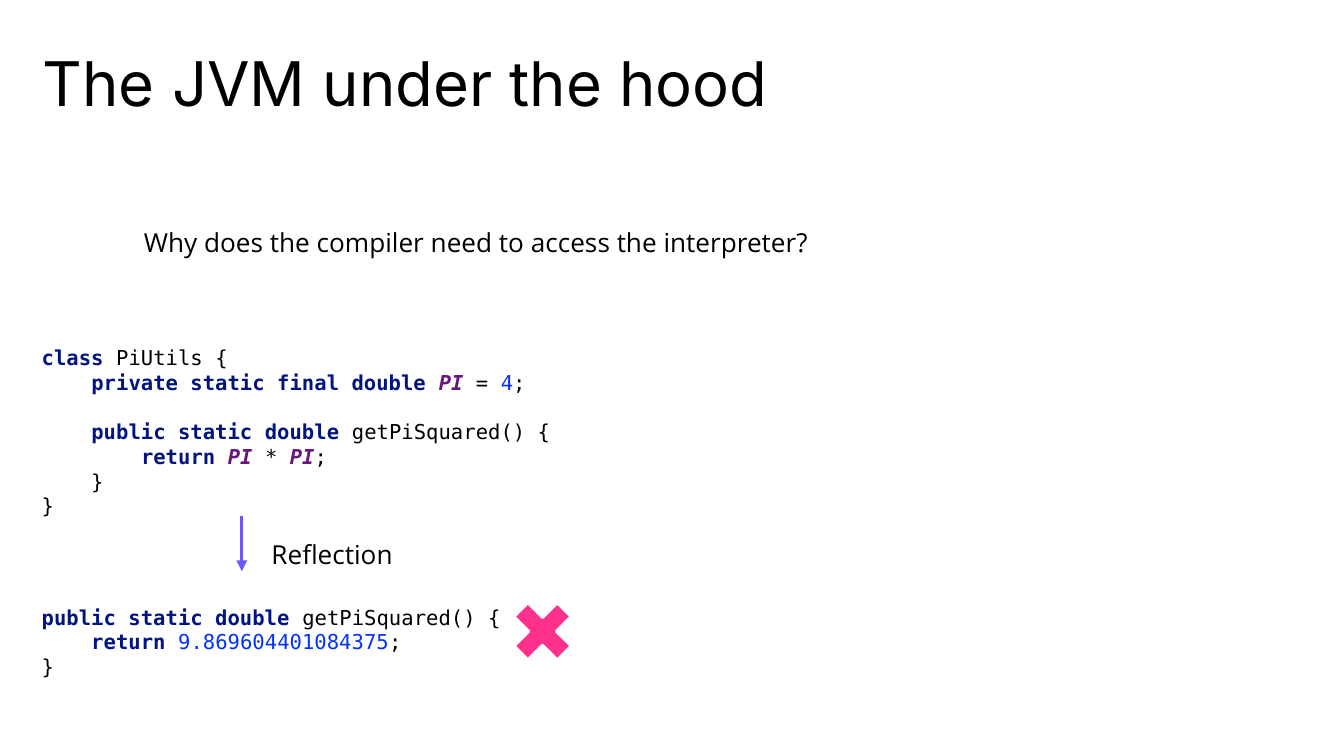
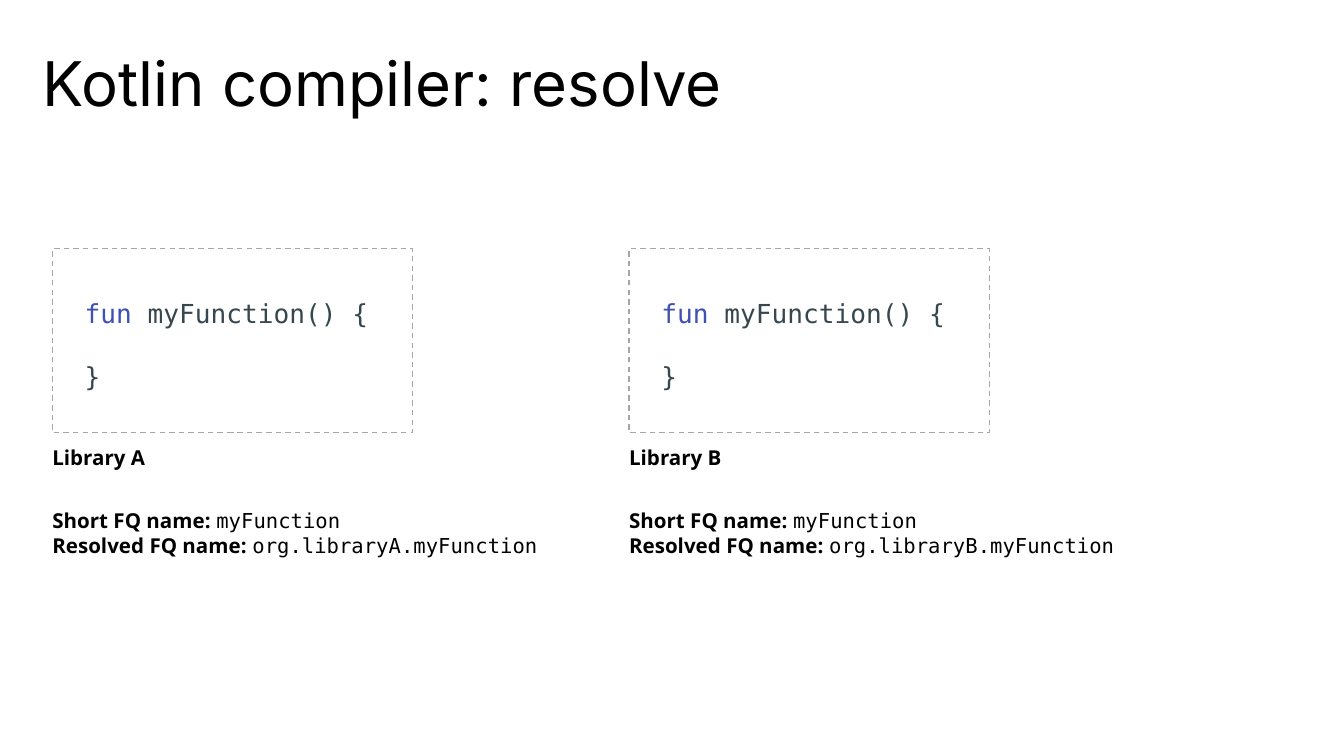
import lxml.etree
import pptx
import pptx.dml.color
import pptx.enum.dml
import pptx.enum.shapes
import pptx.enum.text
import pptx.oxml.ns
import pptx.util

Cm, Pt = pptx.util.Cm, pptx.util.Pt
SANS, MONO, HEADING = "Open Sans", "DejaVu Sans Mono", "Inter"
CODE_LINE = 1.2  # height of an empty code line, in font sizes


def color(hex_string):
    return pptx.dml.color.RGBColor.from_string(hex_string)


def text_format(name, size, hex_string="000000", **more):
    return {"name": name, "size": Pt(size), "color": hex_string, **more}


TITLE = text_format(HEADING, 33)
BODY = text_format(SANS, 14)
LABEL = text_format(SANS, 11, bold=True)
CODE = text_format(MONO, 11)
KEYWORD = text_format(MONO, 11, "011480", bold=True)
CONSTANT = text_format(MONO, 11, "66187A", bold=True, italic=True)
NUMBER = text_format(MONO, 11, "0432FF")
FUN = text_format(MONO, 14, "3F51B5")
FUNCTION = text_format(MONO, 14, "37474F")


def set_attributes(target, values):
    for key, value in values.items():
        setattr(target, key, value)


class Deck:
    """Holds the shared style and the current slide."""

    def __init__(self):
        self.presentation = pptx.Presentation()
        self.presentation.slide_width = Cm(25.4)
        self.presentation.slide_height = Cm(14.29)
        self.slide = None

    def add_slide(self, title):
        layout = self.presentation.slide_layouts[5]  # title only
        self.slide = self.presentation.slides.add_slide(layout)
        shape = self.slide.shapes.title
        set_attributes(shape, {"left": Cm(0.81), "top": Cm(0.81),
                               "width": Cm(23.62), "height": Cm(1.27)})
        self.set_text(shape, [[(TITLE, title)]], (0, 0.25, 0, 0.25),
                      {"line_spacing": 0.85}, grow=False)

    def set_text(self, shape, lines, insets, spacing, grow=True):
        """Set lines of (format, text) runs; an empty line becomes spacing."""
        frame = shape.text_frame
        fit = pptx.enum.text.MSO_AUTO_SIZE
        set_attributes(frame, {
            "word_wrap": True,
            "auto_size": fit.SHAPE_TO_FIT_TEXT if grow else fit.NONE,
            "vertical_anchor": pptx.enum.text.MSO_ANCHOR.TOP,
        })
        for side, inset in zip(("left", "top", "right", "bottom"), insets):
            setattr(frame, f"margin_{side}", Cm(inset))
        paragraph, gap = frame.paragraphs[0], 0
        for number, line in enumerate(lines):
            if not line:
                gap += 1
                continue
            if number:
                paragraph = frame.add_paragraph()
            paragraph.alignment = pptx.enum.text.PP_ALIGN.LEFT
            set_attributes(paragraph, spacing)
            if gap:
                paragraph.space_before = int(gap * CODE_LINE * line[0][0]["size"])
                gap = 0
            for values, text in line:
                run = paragraph.add_run()
                run.text = text
                set_attributes(run.font, {key: value for key, value
                                          in values.items() if key != "color"})
                run.font.color.rgb = color(values["color"])

    def text(self, left, top, width, height, lines, insets=(0, 0, 0, 0), **spacing):
        box = self.slide.shapes.add_textbox(Cm(left), Cm(top), Cm(width), Cm(height))
        self.set_text(box, lines, insets, spacing)

    def shape(self, kind, left, top, width, height, line, line_width,
              fill=None, dash=None, adjustment=None):
        shape = self.slide.shapes.add_shape(kind, Cm(left), Cm(top),
                                            Cm(width), Cm(height))
        shape.shadow.inherit = False
        if fill:
            shape.fill.solid()
            shape.fill.fore_color.rgb = color(fill)
        else:
            shape.fill.background()
        shape.line.color.rgb = color(line)
        shape.line.width = Pt(line_width)
        if dash:
            shape.line.dash_style = dash
        if adjustment is not None:
            shape.adjustments[0] = adjustment

    def arrow(self, left, top, right, bottom, line, line_width):
        connector = self.slide.shapes.add_connector(
            pptx.enum.shapes.MSO_CONNECTOR.STRAIGHT,
            Cm(left), Cm(top), Cm(right), Cm(bottom))
        connector.line.color.rgb = color(line)
        connector.line.width = Pt(line_width)
        qualified = pptx.oxml.ns.qn
        properties = connector.element.spPr
        lxml.etree.SubElement(properties.get_or_add_ln(),
                              qualified("a:tailEnd"), type="triangle")
        lxml.etree.SubElement(properties, qualified("a:effectLst"))


def build_jvm_slide(deck):
    deck.add_slide("The JVM under the hood")
    deck.text(2.72, 3.94, 14.53, 1.12,
              [[(BODY, "Why does the compiler need to access the interpreter?")]],
              (0, 0.25, 0, 0.25), line_spacing=1.15, space_after=Pt(6))

    # Source code and what it compiles to
    signature = [(KEYWORD, "public static double "), (CODE, "getPiSquared() {")]
    deck.text(0.79, 6.53, 14.45, 3.3, [
        [(KEYWORD, "class "), (CODE, "PiUtils {")],
        [(CODE, "    "), (KEYWORD, "private static final double "),
         (CONSTANT, "PI "), (CODE, "= "), (NUMBER, "4"), (CODE, ";")],
        [],
        [(CODE, "    "), *signature],
        [(CODE, "        "), (KEYWORD, "return "), (CONSTANT, "PI "),
         (CODE, "* "), (CONSTANT, "PI"), (CODE, ";")],
        [(CODE, "    }")],
        [(CODE, "}")],
    ])
    deck.text(0.79, 11.43, 11.4, 1.42, [
        signature,
        [(KEYWORD, "    return "), (NUMBER, "9.869604401084375"), (CODE, ";")],
        [(CODE, "}")],
    ])

    # Reflection step and rejection mark
    deck.arrow(4.57, 9.75, 4.57, 10.8, "6B57FF", 1.5)
    deck.text(4.88, 9.63, 4.5, 1.12, [[(BODY, "Reflection")]],
              (0.25, 0.25, 0.25, 0.25), line_spacing=1.5)
    deck.shape(pptx.enum.shapes.MSO_SHAPE.MATH_MULTIPLY, 9.47, 11.15, 1.57, 1.57,
               "FFFFFF", 1.5, fill="FF318C", adjustment=0.235)


def build_resolve_slide(deck):
    deck.add_slide("Kotlin compiler: resolve")
    label_insets = (0, 0.25, 0.25, 0.25)
    for left, library in ((0.99, "A"), (11.89, "B")):
        # Framed function
        deck.shape(pptx.enum.shapes.MSO_SHAPE.RECTANGLE, left, 4.7, 6.81, 3.48,
                   "A6A6A6", 0.75, dash=pptx.enum.dml.MSO_LINE.DASH)
        deck.text(left + 0.36, 5.38, 6.48, 2.31, [
            [(FUN, "fun"), (FUNCTION, " myFunction() {")],
            [],
            [(FUNCTION, "}")],
        ], (0.25, 0.25, 0.25, 0.25))

        # Library and its names
        deck.text(left, 8.18, 6.81, 0.99, [[(LABEL, f"Library {library}")]],
                  label_insets)
        deck.text(left, 9.35, 10.82, 1.45, [
            [(LABEL, "Short FQ name: "), (CODE, "myFunction")],
            [(LABEL, "Resolved FQ name: "),
             (CODE, f"org.library{library}.myFunction")],
        ], label_insets)


def main():
    deck = Deck()
    build_jvm_slide(deck)
    build_resolve_slide(deck)
    deck.presentation.save("out.pptx")


if __name__ == "__main__":
    main()
